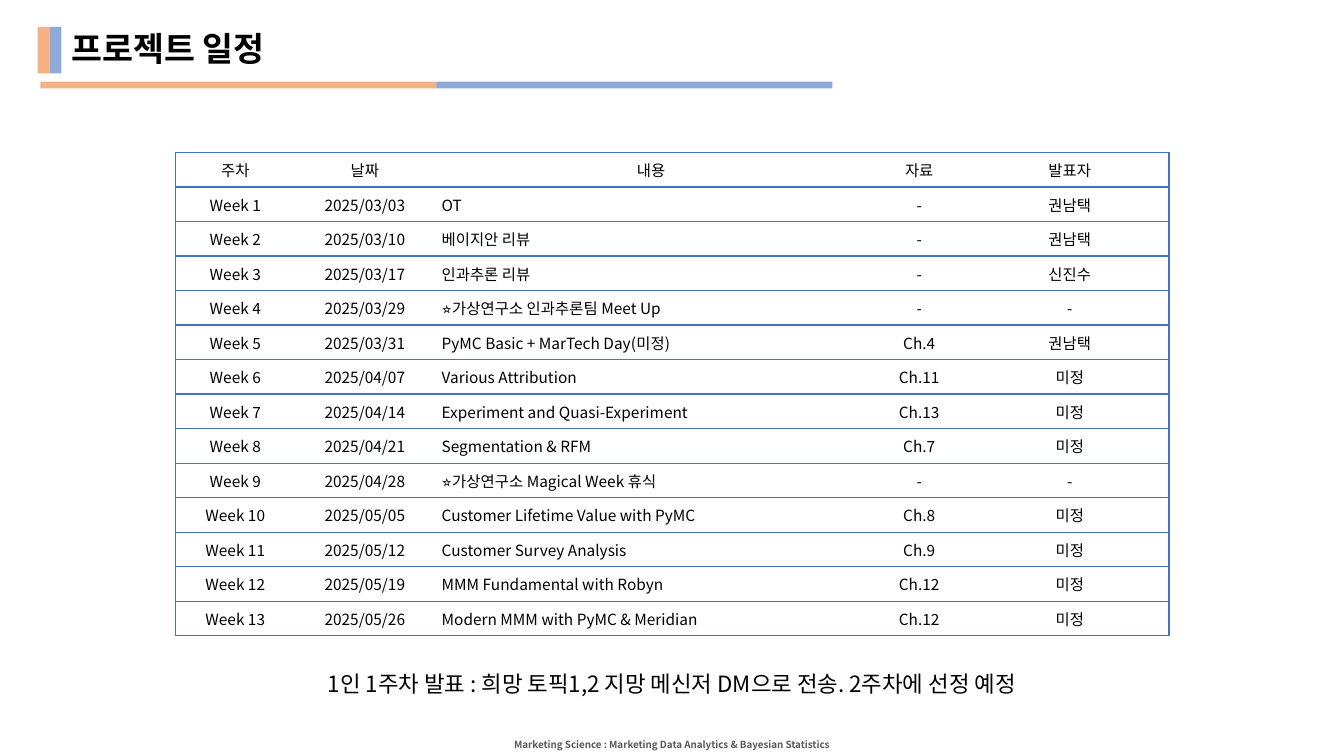
from typing import NamedTuple

from lxml import etree
from pptx import Presentation
from pptx.dml.color import RGBColor
from pptx.enum import shapes, text
from pptx.oxml import ns
from pptx.util import Cm, Pt

FONT = "Noto Sans CJK KR"
COLORS = {
    "blue": "4472C4",
    "orange": "ED7D31",
    "black": "000000",
    "gray": "595959",
    "white": "FFFFFF",
}
BAR_OPACITY = 60000
COLUMN_WIDTHS = [3.02, 3.51, 10.92, 2.59, 5.0]
ROW_HEIGHT = 0.87
CONTENT_COLUMN = 2
HEADINGS = ("주차", "날짜", "내용", "자료", "발표자")


class Box(NamedTuple):
    left: float
    top: float
    width: float
    height: float

    def lengths(self) -> list[int]:
        return [Cm(value) for value in self]


class Bar(NamedTuple):
    box: Box
    color: str


class Label(NamedTuple):
    words: str
    box: Box
    size: float
    color: str = "black"
    bold: bool = False


class Session(NamedTuple):
    date: str
    content: str
    material: str = "-"
    presenter: str = "미정"


BARS = [
    Bar(Box(1.25, 0.68, 0.3, 1.17), "blue"),
    Bar(Box(0.95, 0.68, 0.3, 1.17), "orange"),
    Bar(Box(1.02, 2.06, 9.98, 0.17), "orange"),
    Bar(Box(11.0, 2.06, 9.98, 0.17), "blue"),
]
TITLE = Label("프로젝트 일정", Box(1.55, 0.79, 8.2, 0.97), 24, bold=True)
LABELS = [
    Label("Marketing Science : Marketing Data Analytics & Bayesian Statistics",
          Box(6.93, 18.49, 20.0, 0.56), 7, "gray", True),
    Label("1인 1주차 발표 : 희망 토픽1,2 지망 메신저 DM으로 전송. 2주차에 선정 예정",
          Box(7.24, 16.76, 19.38, 0.94), 16),
]
SESSIONS = [
    Session("2025/03/03", "OT", presenter="권남택"),
    Session("2025/03/10", "베이지안 리뷰", presenter="권남택"),
    Session("2025/03/17", "인과추론 리뷰", presenter="신진수"),
    Session("2025/03/29", "⭐가상연구소 인과추론팀 Meet Up", presenter="-"),
    Session("2025/03/31", "PyMC Basic + MarTech Day(미정)", "Ch.4", "권남택"),
    Session("2025/04/07", "Various Attribution", "Ch.11"),
    Session("2025/04/14", "Experiment and Quasi-Experiment", "Ch.13"),
    Session("2025/04/21", "Segmentation & RFM", "Ch.7"),
    Session("2025/04/28", "⭐가상연구소 Magical Week 휴식", presenter="-"),
    Session("2025/05/05", "Customer Lifetime Value with PyMC", "Ch.8"),
    Session("2025/05/12", "Customer Survey Analysis", "Ch.9"),
    Session("2025/05/19", "MMM Fundamental with Robyn", "Ch.12"),
    Session("2025/05/26", "Modern MMM with PyMC & Meridian", "Ch.12"),
]


def rgb(name: str) -> RGBColor:
    return RGBColor.from_string(COLORS[name])


def format_text(paragraph, size: float, color: str = "black", bold: bool = False,
                alignment=text.PP_ALIGN.CENTER) -> None:
    paragraph.alignment = alignment
    for run in paragraph.runs:
        run.font.name = FONT
        run.font.size = Pt(size)
        run.font.bold = bold
        run.font.color.rgb = rgb(color)
        etree.SubElement(run.font._element, ns.qn("a:ea"), typeface=FONT)


def add_bar(slide, bar: Bar) -> None:
    shape = slide.shapes.add_shape(shapes.MSO_SHAPE.RECTANGLE, *bar.box.lengths())
    shape.shadow.inherit = False
    shape.line.fill.background()
    shape.fill.solid()
    shape.fill.fore_color.rgb = rgb(bar.color)
    color = shape._element.spPr.find(".//" + ns.qn("a:srgbClr"))
    etree.SubElement(color, ns.qn("a:alpha"), val=str(BAR_OPACITY))


def add_label(slide, label: Label) -> None:
    frame = slide.shapes.add_textbox(*label.box.lengths()).text_frame
    frame.word_wrap = True
    frame.text = label.words
    format_text(frame.paragraphs[0], label.size, label.color, label.bold)


def set_title(slide, label: Label) -> None:
    title = slide.shapes.title
    title.left, title.top, title.width, title.height = label.box.lengths()
    frame = title.text_frame
    frame.text = label.words
    frame.auto_size = text.MSO_AUTO_SIZE.NONE
    frame.vertical_anchor = text.MSO_ANCHOR.MIDDLE
    paragraph = frame.paragraphs[0]
    paragraph.line_spacing = 0.9
    format_text(paragraph, label.size, label.color, label.bold, text.PP_ALIGN.LEFT)


def set_borders(cell, visible: dict[str, bool]) -> None:
    properties = cell._tc.get_or_add_tcPr()
    for position, (side, shown) in enumerate(visible.items()):
        line = etree.Element(ns.qn(f"a:ln{side}"), w=str(Pt(1)))
        if shown:
            fill = etree.SubElement(line, ns.qn("a:solidFill"))
            etree.SubElement(fill, ns.qn("a:srgbClr"), val=COLORS["blue"])
        else:
            etree.SubElement(line, ns.qn("a:noFill"))
        properties.insert(position, line)


def add_schedule(slide) -> None:
    rows = [HEADINGS] + [(f"Week {week}", *session)
                         for week, session in enumerate(SESSIONS, 1)]
    box = Box(4.42, 3.84, sum(COLUMN_WIDTHS), ROW_HEIGHT * len(rows))
    table = slide.shapes.add_table(len(rows), len(HEADINGS), *box.lengths()).table
    for column, width in zip(table.columns, COLUMN_WIDTHS):
        column.width = Cm(width)
    for row_index, row in enumerate(rows):
        table.rows[row_index].height = Cm(ROW_HEIGHT)
        for column_index, words in enumerate(row):
            cell = table.cell(row_index, column_index)
            cell.text_frame.text = words
            cell.vertical_anchor = text.MSO_ANCHOR.MIDDLE
            cell.margin_left = cell.margin_right = Cm(0.18)
            cell.margin_top = cell.margin_bottom = Cm(0.08)
            cell.fill.solid()
            cell.fill.fore_color.rgb = rgb("white")
            is_content = row_index > 0 and column_index == CONTENT_COLUMN
            alignment = text.PP_ALIGN.LEFT if is_content else text.PP_ALIGN.CENTER
            format_text(cell.text_frame.paragraphs[0], 11, alignment=alignment)
            set_borders(cell, {"L": column_index == 0,
                               "R": column_index == len(row) - 1,
                               "T": True, "B": True})


def main() -> None:
    presentation = Presentation()
    presentation.slide_width = Cm(33.87)
    presentation.slide_height = Cm(19.05)
    slide = presentation.slides.add_slide(presentation.slide_layouts[5])
    for bar in BARS:
        add_bar(slide, bar)
    set_title(slide, TITLE)
    add_schedule(slide)
    for label in LABELS:
        add_label(slide, label)
    presentation.save("out.pptx")


if __name__ == "__main__":
    main()
